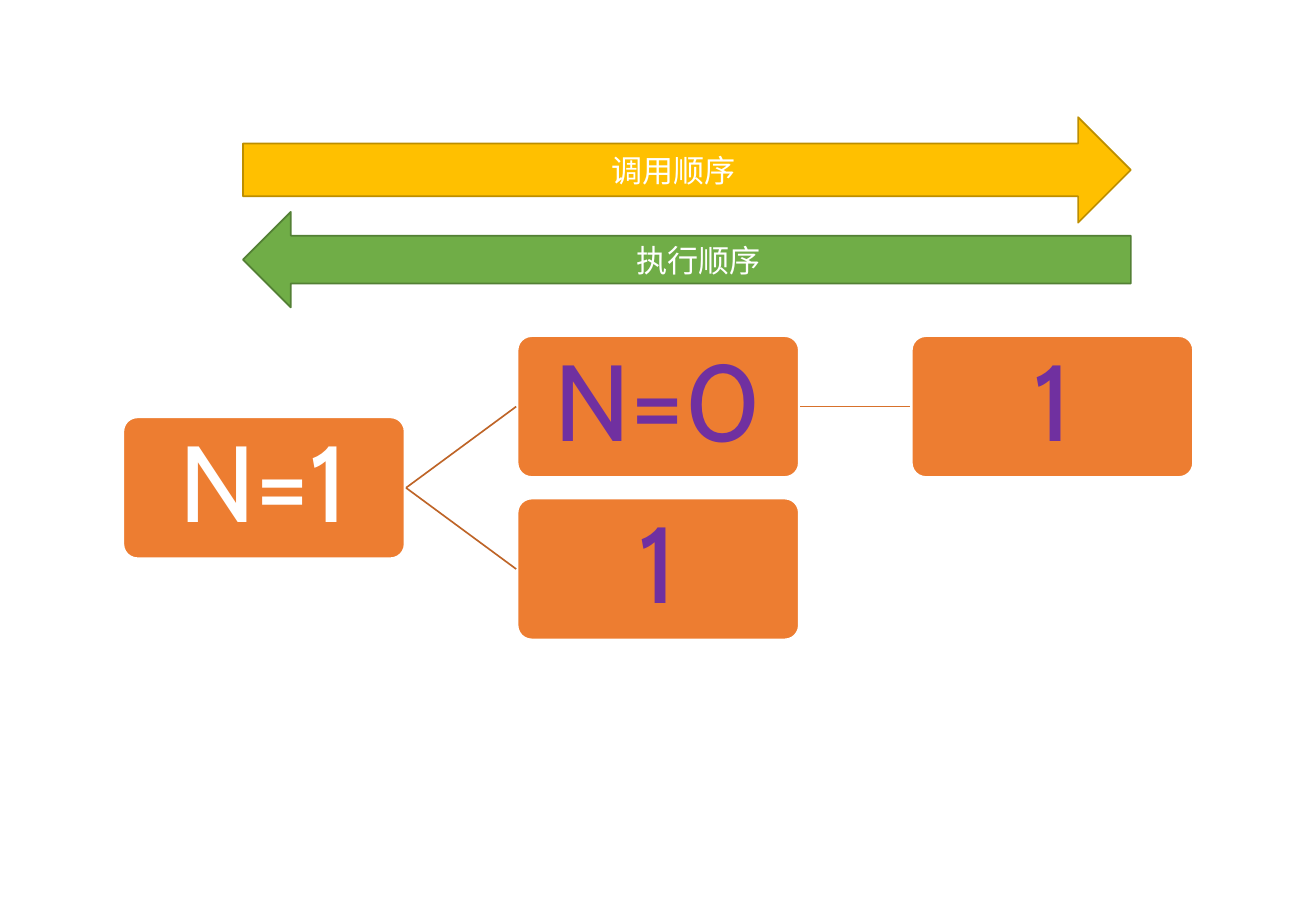
from pptx import Presentation
from pptx import util as u
from pptx.dml.color import RGBColor
from pptx.enum import shapes, text
from pptx.oxml.ns import qn
from lxml import etree


def paint(target, color):
    """Give a fill or a line a solid colour."""
    target.solid()
    target.fore_color.rgb = RGBColor.from_string(color)


class CallTreePage:
    """Style and drawing methods for the recursion call tree page."""

    FONT = "Cabin"
    BOX_WIDTH, BOX_HEIGHT = 5.97, 2.99
    LEFT, TOP = 2.62, 7.14
    COLUMN_STEP, ROW_STEP = 8.37, 3.45
    LINE_GAP = 0.03

    def __init__(self, page):
        self.page = page

    def shape(self, kind, left, top, width, height, fill, line):
        """Add a flat preset shape."""
        box = self.page.shapes.add_shape(
            kind, u.Cm(left), u.Cm(top), u.Cm(width), u.Cm(height)
        )
        box.shadow.inherit = False
        paint(box.fill, fill)
        paint(box.line.fill, line)
        box.line.width = u.Pt(1)
        return box

    def label(self, box, words, size, color):
        """Write centred words inside a shape."""
        frame = box.text_frame
        frame.text = words
        frame.word_wrap = True
        frame.vertical_anchor = text.MSO_ANCHOR.MIDDLE
        para = frame.paragraphs[0]
        para.alignment = text.PP_ALIGN.CENTER
        span = para.runs[0]
        span.font.name = self.FONT
        span.font.size = u.Pt(size)
        paint(span.font.fill, color)
        return para

    def arrow(self, kind, top, height, words, fill, line):
        """Add a labelled block arrow."""
        box = self.shape(kind, 5.16, top, 18.85, height, fill, line)
        self.label(box, words, 18.7, "FFFFFF")

    def node(self, column, row, words, color):
        """Add a rounded call box at a column and row of the tree."""
        box = self.shape(
            shapes.MSO_SHAPE.ROUNDED_RECTANGLE,
            self.LEFT + column * self.COLUMN_STEP,
            self.TOP + row * self.ROW_STEP,
            self.BOX_WIDTH, self.BOX_HEIGHT, "ED7D31", "FFFFFF",
        )
        box.adjustments[0] = 0.1
        frame = box.text_frame
        frame.margin_left = frame.margin_right = u.Cm(0.2)
        frame.margin_top = frame.margin_bottom = u.Cm(0.2)
        self.label(box, words, 65, color).line_spacing = 0.9
        return box

    def branch(self, parent, child, color):
        """Join the right side of a parent to the left side of a child."""
        gap = u.Cm(self.LINE_GAP)
        line = self.page.shapes.add_connector(
            shapes.MSO_CONNECTOR.STRAIGHT,
            parent.left + parent.width + gap, parent.top + parent.height // 2,
            child.left - gap, child.top + child.height // 2,
        )
        paint(line.line.fill, color)
        line.line.width = u.Pt(1)
        properties = line._element.find(qn("p:spPr"))
        etree.SubElement(properties, qn("a:effectLst"))


def main():
    """Build the call tree deck."""
    deck = Presentation()
    deck.slide_width, deck.slide_height = u.Cm(27.94), u.Cm(19.56)
    page = CallTreePage(deck.slides.add_slide(deck.slide_layouts[6]))

    root = page.node(0, 0.5, "N=1", "FFFFFF")
    call = page.node(1, 0, "N=0", "7030A0")
    result = page.node(2, 0, "1", "7030A0")
    addend = page.node(1, 1, "1", "7030A0")
    page.branch(root, call, "BE6427")
    page.branch(call, result, "D7712C")
    page.branch(root, addend, "BE6427")

    page.arrow(shapes.MSO_SHAPE.RIGHT_ARROW, 2.49, 2.24, "调用顺序", "FFC000", "BD8E00")
    page.arrow(shapes.MSO_SHAPE.LEFT_ARROW, 4.5, 2.03, "执行顺序", "70AD47", "538035")
    deck.save("out.pptx")


if __name__ == "__main__":
    main()
